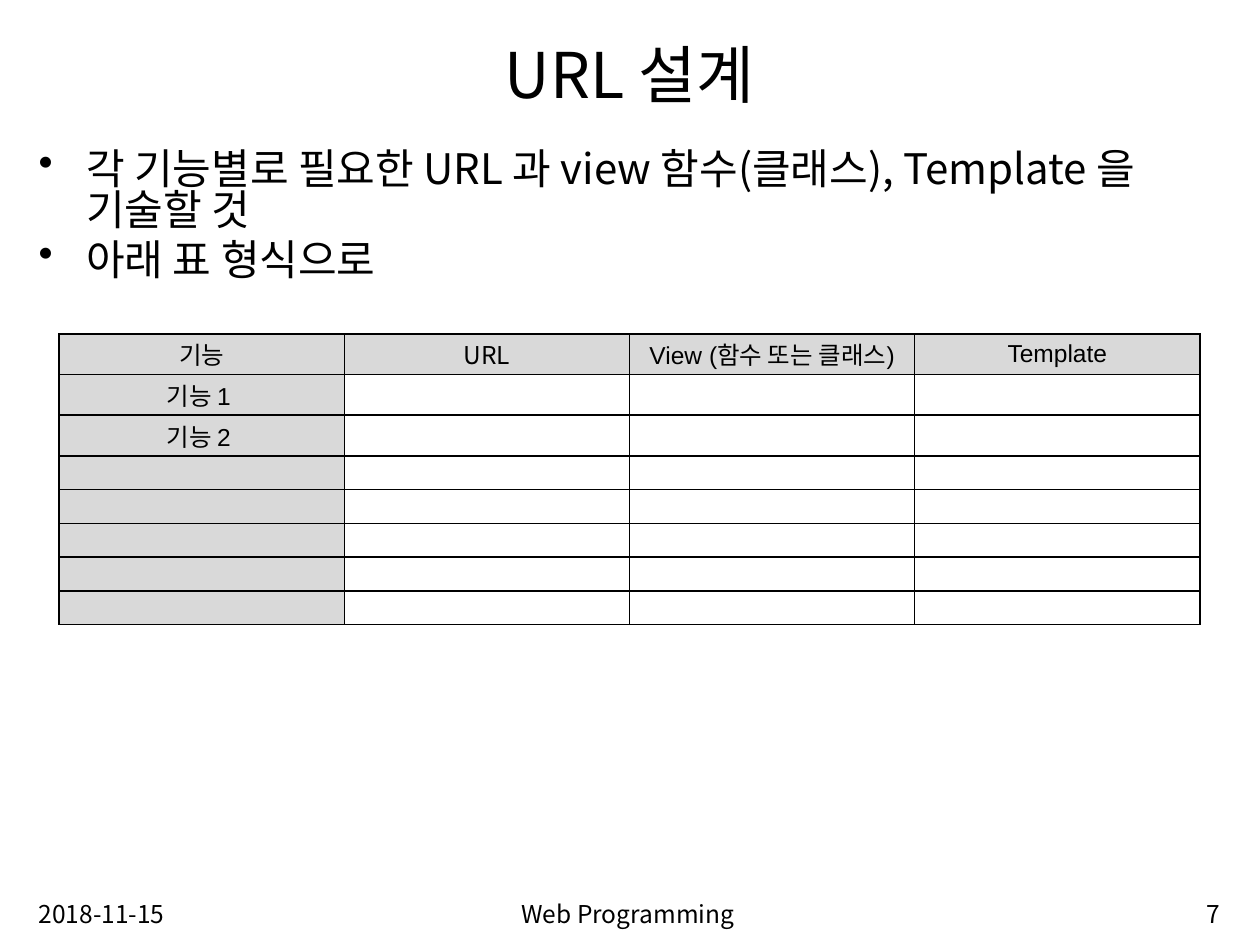
from lxml import etree
from pptx import Presentation
from pptx.dml.color import RGBColor
from pptx.enum import text
from pptx.oxml import ns
from pptx.util import Cm, Pt

BLACK = RGBColor(0, 0, 0)
WHITE = RGBColor(255, 255, 255)
GREY = RGBColor(0xD9, 0xD9, 0xD9)
KOREAN, LATIN = "Noto Sans CJK KR", "Arial"
LEFT, CENTER, RIGHT = text.PP_ALIGN.LEFT, text.PP_ALIGN.CENTER, text.PP_ALIGN.RIGHT
TOP, MIDDLE = text.MSO_ANCHOR.TOP, text.MSO_ANCHOR.MIDDLE


def style(p, size, align, latin=KOREAN):
    p.alignment = align
    p.font.size = Pt(size)
    p.font.color.rgb = BLACK
    p.font.name = latin
    for r in p.runs:
        rPr = r._r.get_or_add_rPr()
        etree.SubElement(rPr, ns.qn("a:ea"), typeface=KOREAN)


def add_text(x, y, w, h, lines, size, align, anchor):
    tf = s.shapes.add_textbox(Cm(x), Cm(y), Cm(w), Cm(h)).text_frame
    tf.word_wrap = True
    tf.vertical_anchor = anchor
    tf.text = "\n".join(lines)
    for p in tf.paragraphs:
        style(p, size, align)
    return tf


prs = Presentation()
prs.slide_width, prs.slide_height = Cm(25.4), Cm(19.05)
s = prs.slides.add_slide(prs.slide_layouts[6])

add_text(0.53, 0.25, 24.33, 2.46, ["URL 설계"], 36, CENTER, MIDDLE)

body = add_text(0.53, 2.92, 24.33, 14.86, [
    "각 기능별로 필요한 URL 과 view 함수(클래스), Template 을 기술할 것",
    "아래 표 형식으로",
], 24, LEFT, TOP)
for p in body.paragraphs:
    p.space_before = Pt(4.8)
    p.line_spacing = 0.82
    pPr = p._p.get_or_add_pPr()
    pPr.set("marL", str(Cm(0.96)))
    pPr.set("indent", str(Cm(-0.96)))
    bullet = etree.Element(ns.qn("a:buChar"), char="•")
    pPr.find(ns.qn("a:defRPr")).addprevious(bullet)

for x, w, label, align in [
    (0.53, 5.92, "2018-11-15", LEFT),
    (6.86, 11.6, "Web Programming", CENTER),
    (18.92, 5.92, "7", RIGHT),
]:
    add_text(x, 18, w, 0.9, [label], 14, align, TOP)

labels = {
    (0, 0): "기능", (0, 1): "URL", (0, 2): "View (함수 또는 클래스)", (0, 3): "Template",
    (1, 0): "기능 1", (2, 0): "기능 2",
}
heights = [0.82] * 3 + [0.68] * 5
table = s.shapes.add_table(
    len(heights), 4, Cm(1.19), Cm(6.73), Cm(23.01), Cm(sum(heights))).table
for col in table.columns:
    col.width = Cm(5.75)
for i, height in enumerate(heights):
    table.rows[i].height = Cm(height)
    for j in range(4):
        cell = table.cell(i, j)
        cell.fill.solid()
        cell.fill.fore_color.rgb = GREY if i == 0 or j == 0 else WHITE
        cell.vertical_anchor = MIDDLE
        cell.margin_left = Cm(0.18)
        cell.margin_right = Cm(0.3 if i and j == 0 else 0.18)
        cell.margin_top = cell.margin_bottom = Cm(0.05)
        p = cell.text_frame.paragraphs[0]
        if (i, j) in labels:
            p.text = labels[i, j]
            style(p, 14, CENTER, KOREAN if i == 0 and j < 2 else LATIN)
        else:
            etree.SubElement(p._p, ns.qn("a:endParaRPr"), sz="1000")
        tcPr = cell._tc.get_or_add_tcPr()
        for k, side in enumerate(("lnL", "lnR", "lnT", "lnB")):
            ln = etree.Element(ns.qn("a:" + side), w=str(Pt(1)))
            fill = etree.SubElement(ln, ns.qn("a:solidFill"))
            etree.SubElement(fill, ns.qn("a:srgbClr"), val=str(BLACK))
            tcPr.insert(k, ln)

prs.save("out.pptx")
